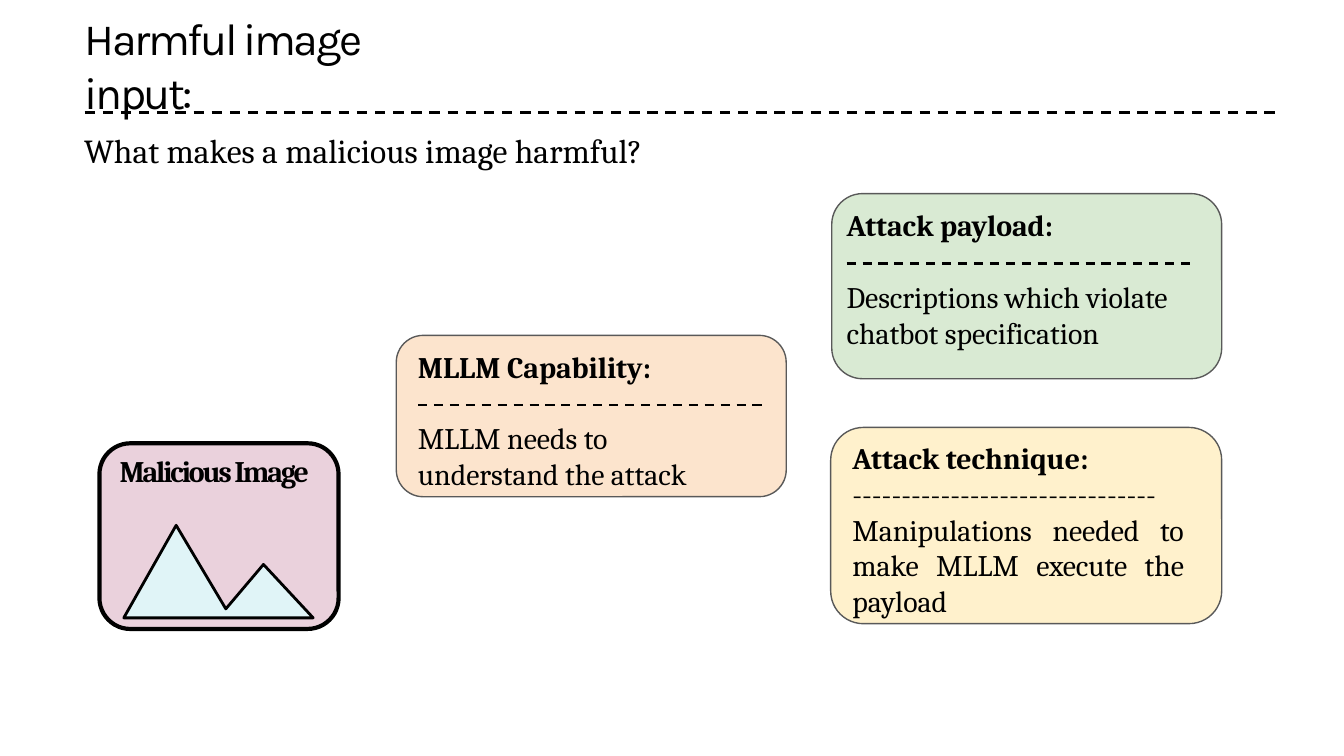
from dataclasses import dataclass
from typing import Any

import lxml.etree
import pptx
import pptx.dml.color
import pptx.enum.dml
import pptx.enum.shapes
import pptx.enum.text
import pptx.oxml.ns
import pptx.util

Cm = pptx.util.Cm
Pt = pptx.util.Pt
RGBColor = pptx.dml.color.RGBColor
Align = pptx.enum.text.PP_ALIGN
Anchor = pptx.enum.text.MSO_ANCHOR

BLACK = RGBColor(0x00, 0x00, 0x00)
GRAY = RGBColor(0x59, 0x59, 0x59)
PEACH = RGBColor(0xFC, 0xE4, 0xCD)
CREAM = RGBColor(0xFF, 0xF1, 0xCC)
GREEN = RGBColor(0xD9, 0xEA, 0xD3)
PINK = RGBColor(0xEA, 0xD1, 0xDC)
ICE = RGBColor(0xE0, 0xF4, 0xF7)

SERIF = "Cambria"
LINE_HIGH = 0.68
DASH_WIDE = 6.55


@dataclass(frozen=True)
class Box:
    left: float
    top: float
    wide: float
    high: float


@dataclass(frozen=True)
class Card:
    box: Box
    fill: RGBColor
    text: Box
    lines: tuple[str, ...]
    gap: float = 0
    rule: float | None = None
    align: Any = Align.LEFT
    edge: RGBColor = GRAY
    weight: float = 0.75
    space: float = 0


CARDS = (
    Card(Box(7.49, 6.34, 7.37, 3.05), PEACH, Box(7.9, 6.6, 5.51, 2.7),
         ("MLLM Capability:", "MLLM needs to understand the attack"),
         gap=18.5, rule=7.65),
    Card(Box(15.7, 8.08, 7.39, 3.71), CREAM, Box(16.11, 8.31, 6.27, 3.4),
         ("Attack technique:", "-" * 31,
          "Manipulations needed to make MLLM execute the payload"),
         align=Align.JUSTIFY),
    Card(Box(15.72, 3.66, 7.37, 3.5), GREEN, Box(16, 3.91, 6.6, 2.8),
         ("Attack payload:", "Descriptions which violate chatbot specification"),
         gap=19.5, rule=4.98),
    Card(Box(1.88, 8.38, 4.52, 3.51), PINK, Box(2.26, 8.56, 3.9, LINE_HIGH),
         ("Malicious Image",), edge=BLACK, weight=2.25, space=-1.1),
)

PEAKS = ((2.34, 11.68), (3.33, 9.93), (4.27, 11.51), (4.98, 10.67), (5.92, 11.68))


def place(shape: Any, box: Box) -> None:
    shape.left, shape.top = Cm(box.left), Cm(box.top)
    shape.width, shape.height = Cm(box.wide), Cm(box.high)


def set_frame(frame: Any, anchor: Any = Anchor.TOP) -> None:
    frame.auto_size = pptx.enum.text.MSO_AUTO_SIZE.NONE
    frame.word_wrap = True
    frame.vertical_anchor = anchor
    frame.margin_left = frame.margin_right = 0
    frame.margin_top = frame.margin_bottom = 0


def set_font(para: Any, name: str, size: float, bold: bool = False, space: float = 0) -> None:
    for run in para.runs:
        run.font.name = name
        run.font.size = Pt(size)
        run.font.bold = bold
        run.font.color.rgb = BLACK
        if space:
            run.font._element.set("spc", str(round(space * 100)))


def paint(shape: Any, fill: RGBColor, edge: RGBColor, weight: float) -> None:
    shape.shadow.inherit = False
    shape.fill.solid()
    shape.fill.fore_color.rgb = fill
    shape.line.color.rgb = edge
    shape.line.width = Pt(weight)


def add_dash(slide: Any, left: float, top: float, wide: float, weight: float) -> None:
    line = slide.shapes.add_connector(
        pptx.enum.shapes.MSO_CONNECTOR.STRAIGHT,
        Cm(left), Cm(top), Cm(left + wide), Cm(top))
    line.line.color.rgb = BLACK
    line.line.width = Pt(weight)
    line.line.dash_style = pptx.enum.dml.MSO_LINE.DASH
    lxml.etree.SubElement(line._element.spPr, pptx.oxml.ns.qn("a:effectLst"))


def add_card(slide: Any, card: Card) -> None:
    box = card.box
    shape = slide.shapes.add_shape(
        pptx.enum.shapes.MSO_SHAPE.ROUNDED_RECTANGLE,
        Cm(box.left), Cm(box.top), Cm(box.wide), Cm(box.high))
    paint(shape, card.fill, card.edge, card.weight)
    if card.rule is not None:
        add_dash(slide, card.text.left, card.rule, DASH_WIDE, 1.23)
    label = slide.shapes.add_textbox(0, 0, 0, 0)
    place(label, card.text)
    frame = label.text_frame
    set_frame(frame)
    frame.text = "\n".join(card.lines)
    for i, para in enumerate(frame.paragraphs):
        para.alignment = card.align
        if i:
            para.space_before = Pt(card.gap)
        set_font(para, SERIF, 16, bold=i == 0, space=card.space)


def add_peaks(slide: Any) -> None:
    first, *rest = [(Cm(x), Cm(y)) for x, y in PEAKS]
    pen = slide.shapes.build_freeform(*first)
    pen.add_line_segments(rest, close=True)
    paint(pen.convert_to_shape(), ICE, BLACK, 1.5)


def fill_holder(holder: Any, box: Box, text: str, name: str, size: float,
                anchor: Any = Anchor.TOP, space: float = 0) -> None:
    place(holder, box)
    set_frame(holder.text_frame, anchor)
    holder.text_frame.text = text
    para = holder.text_frame.paragraphs[0]
    props = para._p.get_or_add_pPr()
    props.set("marL", "0")
    props.set("indent", "0")
    lxml.etree.SubElement(props, pptx.oxml.ns.qn("a:buNone"))
    para.alignment = Align.LEFT
    para.space_before = Pt(0)
    set_font(para, name, size, space=space)


def main() -> None:
    deck = pptx.Presentation()
    deck.slide_width, deck.slide_height = Cm(25.4), Cm(14.29)
    slide = deck.slides.add_slide(deck.slide_layouts[1])
    fill_holder(slide.shapes.title, Box(1.6, 0.68, 7, 1.07),
                "Harmful image input:", "Karla", 24, Anchor.MIDDLE, -1.3)
    fill_holder(slide.placeholders[1], Box(1.59, 2.45, 21, 0.8),
                "What makes a malicious image harmful?", SERIF, 18)
    add_dash(slide, 1.6, 2.13, 22.56, 1.39)
    for card in CARDS:
        add_card(slide, card)
    add_peaks(slide)
    deck.save("out.pptx")


if __name__ == "__main__":
    main()
